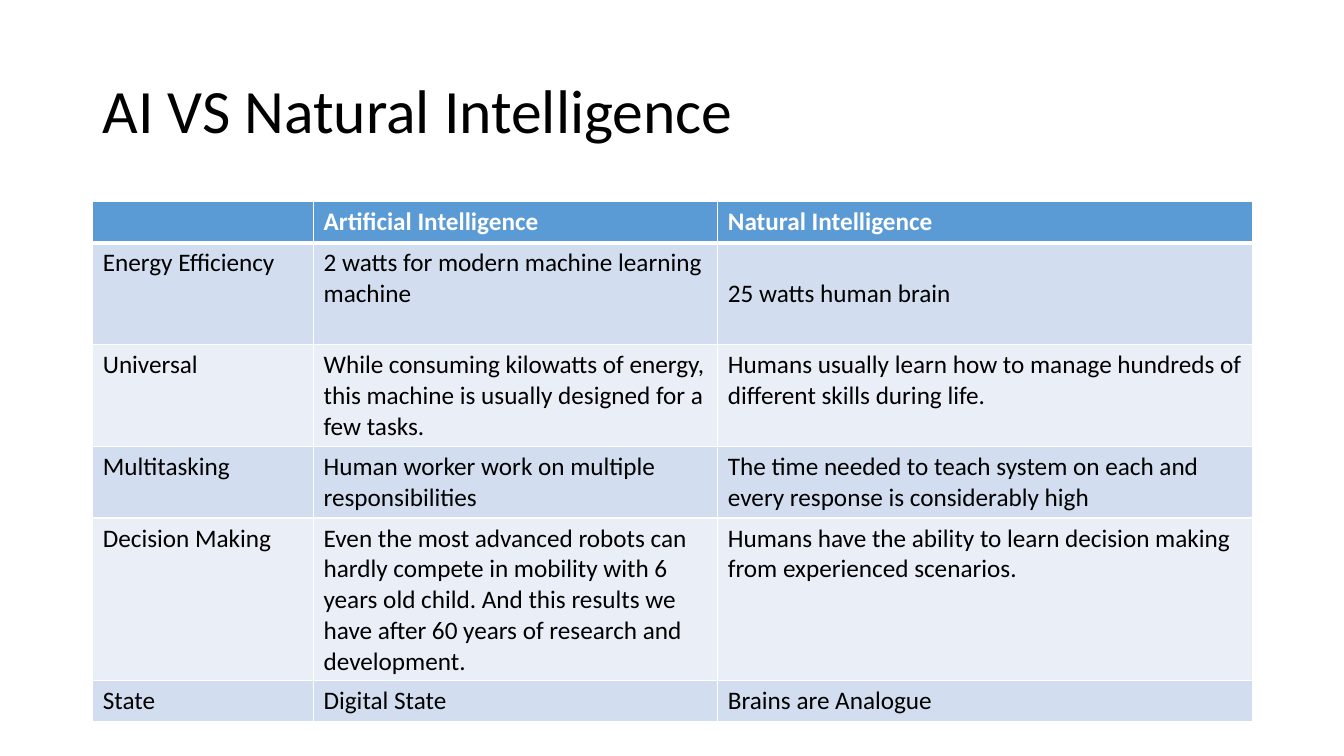
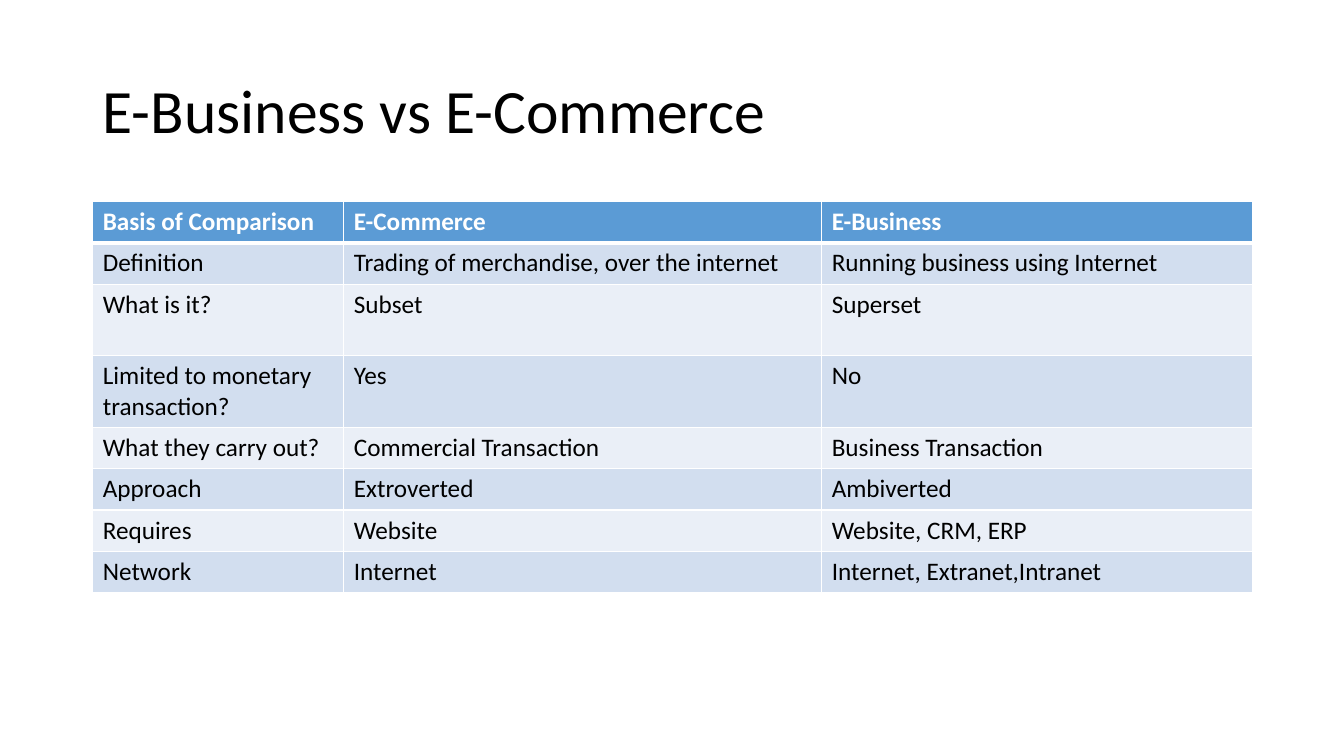
"""Builds two comparison slides, each a title over a banded table."""
import pptx
import pptx.util
import pptx.dml.color
import pptx.enum.text
import pptx.oxml.ns
import lxml.etree
from dataclasses import dataclass

Inch = pptx.util.Inches
Anchor = pptx.enum.text.MSO_ANCHOR


@dataclass(frozen=True)
class Theme:
    """Colours, type and grid shared by the slides."""
    font: str = "Calibri"
    big: int = 44
    body: int = 18
    ink: str = "000000"
    paper: str = "FFFFFF"
    head: str = "5B9BD5"
    bands: tuple = ("D2DEEF", "EAEFF7")
    thin: int = 1
    thick: int = 3
    size: tuple = (13.33, 7.5)
    left: float = 0.92
    width: float = 11.5
    title: tuple = (0.4, 1.45)
    top: float = 2
    line: float = 0.3
    pad: float = 0.11


THEME = Theme()

SLIDES = [
    {
        "title": "AI VS Natural Intelligence",
        "cols": (2.19, 4.01, 5.3),
        "lines": (1, 3, 3, 2, 5, 1),
        "middle": {(1, 2)},
        "rows": [
            ("", "Artificial Intelligence", "Natural Intelligence"),
            ("Energy Efficiency",
             "2 watts for modern machine learning machine",
             "25 watts human brain"),
            ("Universal",
             "While consuming kilowatts of energy, this machine is usually "
             "designed for a few tasks.",
             "Humans usually learn how to manage hundreds of different "
             "skills during life."),
            ("Multitasking",
             "Human worker work on multiple responsibilities",
             "The time needed to teach system on each and every response "
             "is considerably high"),
            ("Decision Making",
             "Even the most advanced robots can hardly compete in mobility "
             "with 6 years old child. And this results we have after 60 "
             "years of research and development.",
             "Humans have the ability to learn decision making from "
             "experienced scenarios."),
            ("State", "Digital State", "Brains are Analogue"),
        ],
    },
    {
        "title": "E-Business vs E-Commerce",
        "cols": (2.49, 4.74, 4.27),
        "lines": (1, 1, 2, 2, 1, 1, 1, 1),
        "middle": set(),
        "rows": [
            ("Basis of Comparison", "E-Commerce", "E-Business"),
            ("Definition", "Trading of merchandise, over the internet",
             "Running business using Internet"),
            ("What is it?", "Subset", "Superset"),
            ("Limited to monetary transaction?", "Yes", "No"),
            ("What they carry out?", "Commercial Transaction",
             "Business Transaction"),
            ("Approach", "Extroverted", "Ambiverted"),
            ("Requires", "Website", "Website, CRM, ERP"),
            ("Network", "Internet", "Internet, Extranet,Intranet"),
        ],
    },
]


def paint(fill, color):
    """Gives a fill one solid colour."""
    fill.solid()
    fill.fore_color.rgb = pptx.dml.color.RGBColor.from_string(color)


def write(frame, text, size=THEME.body, color=THEME.ink, bold=False,
          anchor=Anchor.TOP, space=None):
    """Puts formatted text in a frame."""
    frame.word_wrap = True
    frame.vertical_anchor = anchor
    para = frame.paragraphs[0]
    para.line_spacing = space
    para.font.size = pptx.util.Pt(size)
    if text:
        run = para.add_run()
        run.text = text
        font = run.font
        font.name, font.size, font.bold = THEME.font, pptx.util.Pt(size), bold
        paint(font.fill, color)


def edge(cell, **widths):
    """Draws the cell borders, with widths in points by side."""
    props = cell._tc.get_or_add_tcPr()
    name = pptx.oxml.ns.qn
    for spot, side in enumerate("LRTB"):
        line = lxml.etree.Element(name(f"a:ln{side}"))
        line.set("w", str(pptx.util.Pt(widths.get(side, THEME.thin))))
        fill = lxml.etree.SubElement(line, name("a:solidFill"))
        lxml.etree.SubElement(fill, name("a:srgbClr")).set("val", THEME.paper)
        props.insert(spot, line)


def add_grid(slide, data):
    """Adds the comparison table."""
    rows, cols = data["rows"], data["cols"]
    highs = [THEME.pad + THEME.line * count for count in data["lines"]]
    table = slide.shapes.add_table(
        len(rows), len(cols), Inch(THEME.left), Inch(THEME.top),
        Inch(THEME.width), Inch(sum(highs))).table
    for col, width in zip(table.columns, cols):
        col.width = Inch(width)
    for r, (row, high) in enumerate(zip(rows, highs)):
        table.rows[r].height = Inch(high)
        head = r == 0
        for c, text in enumerate(row):
            cell = table.cell(r, c)
            paint(cell.fill, THEME.head if head else THEME.bands[(r - 1) % 2])
            edge(cell, B=THEME.thick if head else THEME.thin,
                 T=THEME.thick if r == 1 else THEME.thin)
            write(cell.text_frame, text, bold=head,
                  color=THEME.paper if head else THEME.ink)
            if (r, c) in data["middle"]:
                cell.vertical_anchor = Anchor.MIDDLE


def add_title(slide, text):
    """Adds the slide title."""
    top, high = THEME.title
    box = slide.shapes.add_textbox(
        Inch(THEME.left), Inch(top), Inch(THEME.width), Inch(high))
    write(box.text_frame, text, size=THEME.big, anchor=Anchor.MIDDLE, space=0.9)


def main():
    """Builds and saves the deck."""
    deck = pptx.Presentation()
    deck.slide_width, deck.slide_height = map(Inch, THEME.size)
    for data in SLIDES:
        slide = deck.slides.add_slide(deck.slide_layouts[6])
        paint(slide.background.fill, THEME.paper)
        add_title(slide, data["title"])
        add_grid(slide, data)
    deck.save("out.pptx")


if __name__ == "__main__":
    main()
